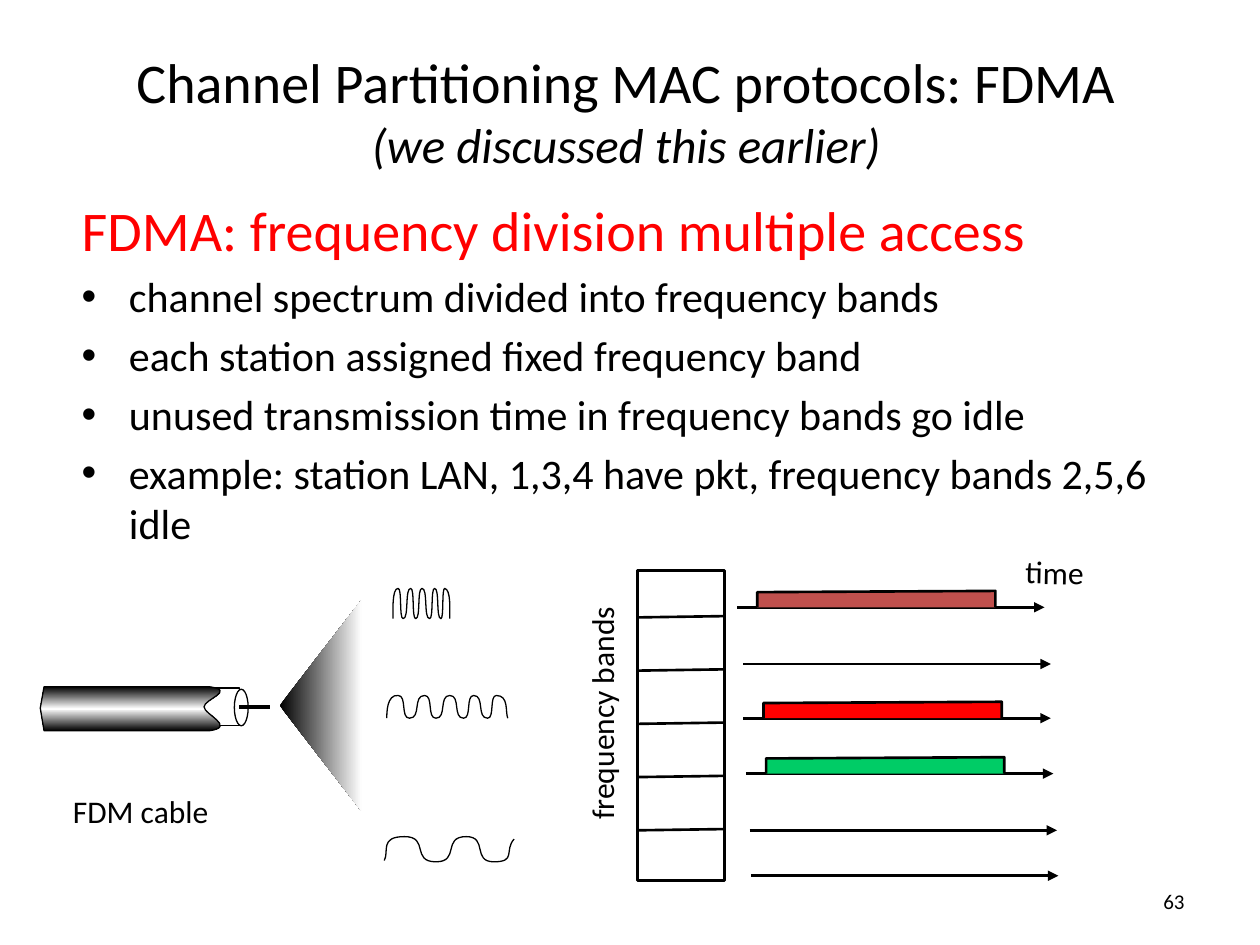
"""Build the FDMA channel partitioning slide."""
from lxml.etree import SubElement
from pptx import Presentation
from pptx.dml.color import RGBColor
from pptx.enum.shapes import MSO_CONNECTOR, MSO_SHAPE
from pptx.enum.text import MSO_ANCHOR, MSO_AUTO_SIZE, PP_ALIGN
from pptx.oxml.ns import qn
from pptx.util import Inches, Pt

BLACK, WHITE, RED = "000000", "FFFFFF", "FF0000"
TITLE = [("Channel Partitioning MAC protocols: FDMA", {"size": Pt(32)}),
         ("(we discussed this earlier)", {"size": Pt(28), "italic": True})]
HEADING = "FDMA: frequency division multiple access"
BULLETS = ["channel spectrum divided into frequency bands",
           "each station assigned fixed frequency band",
           "unused transmission time in frequency bands go idle",
           "example: station LAN, 1,3,4 have pkt, frequency bands 2,5,6 idle"]
LABELS = [("frequency bands", (3.82, 5.45, 1.91, 0.4), 270),
          ("time", (8.04, 4.34, 0.68, 0.4), 1.1),
          ("FDM cable", (0.48, 6.24, 1.29, 0.4), 0)]
BANDS = (5.06, 4.53, 0.69, 2.46)
BAND_FIRST, BAND_LAST, BAND_COUNT = 4.9, 6.59, 6
LANES = [(5.85, 4.82, "C0504D"), (5.9, 5.27, None), (5.9, 5.7, RED),
         (5.92, 6.14, "00CC66"), (5.95, 6.59, None), (5.96, 6.95, None)]
LANE_W, BAR_GAP, BAR_W, BAR_H = 2.44, 0.16, 1.89, 0.12
CONE = [(2.87, 4.76), (2.22, 5.6), (2.87, 6.44)]
CABLE_EDGE = [(0.35, 5.45), (0.32, 5.62), (0.35, 5.8), (1.66, 5.8)]
CABLE_CUT = [(1.88, 5.77), (1.62, 5.67), (1.62, 5.61),
             (1.62, 5.55), (1.88, 5.48), (1.66, 5.45)]
WAVES = [  # lead-in, turning xs, lead-out, crest y, trough y
    ([(3.12, 4.91), (3.12, 4.86), (3.11, 4.67)],
     (3.16, 3.2, 3.26, 3.3, 3.35, 3.41, 3.45, 3.5, 3.53),
     [(3.58, 4.68), (3.57, 4.84), (3.57, 4.91)], 4.67, 4.91),
    ([(3.07, 5.7), (3.07, 5.66), (3.07, 5.51)],
     (3.16, 3.25, 3.37, 3.46, 3.57, 3.68, 3.76, 3.87, 3.94),
     [(4.04, 5.52), (4.01, 5.65), (4.03, 5.7)], 5.52, 5.7),
    ([(3.05, 6.83), (3.09, 6.76), (3.01, 6.64)], (3.21, 3.46, 3.7, 3.92),
     [(4.1, 6.84), (4, 6.75), (4.08, 6.66)], 6.64, 6.84)]
LEAN = 0.8


def rgb(value):
    return RGBColor.from_string(value)


def assign(obj, values):
    for name, value in values.items():
        setattr(obj, name, value)


def add_run(p, text, **fmt):
    r = p.add_run()
    r.text = text
    color = fmt.pop("color", BLACK)
    assign(r.font, {"name": "Calibri", **fmt})
    r.font.color.rgb = rgb(color)


def add_box(s, at, **fmt):
    sp = s.shapes.add_textbox(*map(Inches, at))
    assign(sp.text_frame, fmt)
    return sp


def set_gradient(sp, colors, angle):
    sp.fill.gradient()
    grad = sp._element.spPr.find(qn("a:gradFill"))
    grad.clear()
    stops = SubElement(grad, qn("a:gsLst"))
    for i, color in enumerate(colors):
        stop = SubElement(stops, qn("a:gs"), pos=str(100000 * i // (len(colors) - 1)))
        SubElement(stop, qn("a:srgbClr"), val=color)
    SubElement(grad, qn("a:lin"), ang=str(angle * 60000), scaled="0")


def paint(sp, fill=None, width=0.75):
    sp.shadow.inherit = False
    if isinstance(fill, tuple):
        set_gradient(sp, *fill)
    elif fill:
        sp.fill.solid()
        sp.fill.fore_color.rgb = rgb(fill)
    else:
        sp.fill.background()
    if width:
        sp.line.color.rgb = rgb(BLACK)
        sp.line.width = Pt(width)
    else:
        sp.line.fill.background()


def add_preset(s, kind, at, width=0.75):
    paint(s.shapes.add_shape(kind, *map(Inches, at)), WHITE, width)


def bend(sp, start):
    steps = list(sp._element.spPr.iter(qn("a:lnTo")))[start:]
    for i in range(0, len(steps), 3):
        first, *rest = steps[i:i + 3]
        first.addprevious(first.makeelement(qn("a:cubicBezTo")))
        cubic = first.getprevious()
        for step in (first, *rest):
            cubic.append(step[0])
            step.getparent().remove(step)


def add_free(s, points, closed=False, bend_from=None, **style):
    pts = [(Inches(x), Inches(y)) for x, y in points]
    fb = s.shapes.build_freeform(*pts[0], scale=1.0)
    fb.add_line_segments(pts[1:], close=closed)
    sp = fb.convert_to_shape()
    if bend_from is not None:
        bend(sp, bend_from)
    paint(sp, **style)


def add_line(s, x1, y1, x2, y2, width=1.5, arrow=False):
    cx = s.shapes.add_connector(MSO_CONNECTOR.STRAIGHT, *map(Inches, (x1, y1, x2, y2)))
    cx.line.color.rgb = rgb(BLACK)
    cx.line.width = Pt(width)
    if arrow:
        SubElement(cx.line._get_or_add_ln(), qn("a:tailEnd"), type="triangle")
    SubElement(cx._element.spPr, qn("a:effectLst"))


def wave(lead_in, turns, lead_out, crest, trough):
    peaks = [(x, trough if i % 2 else crest) for i, x in enumerate(turns)]
    points = lead_in + peaks[:1]
    for (xa, ya), (xb, yb) in zip(peaks, peaks[1:]):
        reach = LEAN * (xb - xa)
        points += [(xa + reach, ya), (xb - reach, yb), (xb, yb)]
    return points + lead_out


def add_text(s):
    title = s.shapes.title
    assign(title, dict(zip(("left", "top", "width", "height"),
                           map(Inches, (0.25, 0.25, 9.44, 1.25)))))
    tf = title.text_frame
    assign(tf, {"vertical_anchor": MSO_ANCHOR.MIDDLE, "auto_size": MSO_AUTO_SIZE.NONE})
    p = tf.paragraphs[0]
    p.alignment = PP_ALIGN.CENTER
    for i, (text, fmt) in enumerate(TITLE):
        if i:
            p.add_line_break()
        add_run(p, text, **fmt)

    tf = add_box(s, (0.55, 1.5, 8.99, 5.08), word_wrap=True).text_frame
    add_run(tf.paragraphs[0], HEADING, size=Pt(32), color=RED)
    for text in BULLETS:
        p = tf.add_paragraph()
        p.space_before = Pt(4.8)
        pPr = p._p.get_or_add_pPr()
        pPr.set("marL", str(Pt(27)))
        pPr.set("indent", str(-Pt(27)))
        SubElement(pPr, qn("a:buFont"), typeface="Arial")
        SubElement(pPr, qn("a:buChar"), char="•")
        add_run(p, text, size=Pt(24))

    sp = add_box(s, (7.17, 6.95, 2.33, 0.4), word_wrap=True,
                 vertical_anchor=MSO_ANCHOR.MIDDLE)
    p = sp.text_frame.paragraphs[0]
    p.alignment = PP_ALIGN.RIGHT
    add_run(p, "63", size=Pt(12))


def add_bands(s):
    left, _, width, _ = BANDS
    add_preset(s, MSO_SHAPE.RECTANGLE, BANDS, 1.5)
    step = (BAND_LAST - BAND_FIRST) / (BAND_COUNT - 2)
    for i in range(BAND_COUNT - 1):
        y = BAND_FIRST + i * step
        add_line(s, left, y, left + width, y - 0.01)
    for x, y, color in LANES:
        add_line(s, x, y, x + LANE_W, y, arrow=True)
        if color:
            x1, x2, top = x + BAR_GAP, x + BAR_GAP + BAR_W, y - BAR_H
            add_free(s, [(x1, y), (x1, top), (x2, top - 0.01), (x2, y)],
                     fill=color, width=1.5)


def add_cable(s):
    add_free(s, CONE, True, fill=((BLACK, WHITE), 0), width=0)
    add_preset(s, MSO_SHAPE.RECTANGLE, (1.61, 5.46, 0.29, 0.3))
    add_free(s, CABLE_EDGE + CABLE_CUT, True, len(CABLE_EDGE) - 1,
             fill=((BLACK, WHITE, BLACK), 90))
    add_preset(s, MSO_SHAPE.OVAL, (1.86, 5.47, 0.11, 0.29))
    add_line(s, 1.9, 5.61, 2.14, 5.61, 2.25)
    for shape in WAVES:
        add_free(s, wave(*shape), bend_from=0)


def main():
    prs = Presentation()
    prs.slide_width, prs.slide_height = Inches(10), Inches(7.5)
    s = prs.slides.add_slide(prs.slide_layouts[5])
    add_text(s)
    add_bands(s)
    add_cable(s)
    for text, at, angle in LABELS:
        sp = add_box(s, at, word_wrap=False, auto_size=MSO_AUTO_SIZE.SHAPE_TO_FIT_TEXT)
        sp.rotation = angle
        add_run(sp.text_frame.paragraphs[0], text, size=Pt(18))
    prs.save("out.pptx")


if __name__ == "__main__":
    main()
